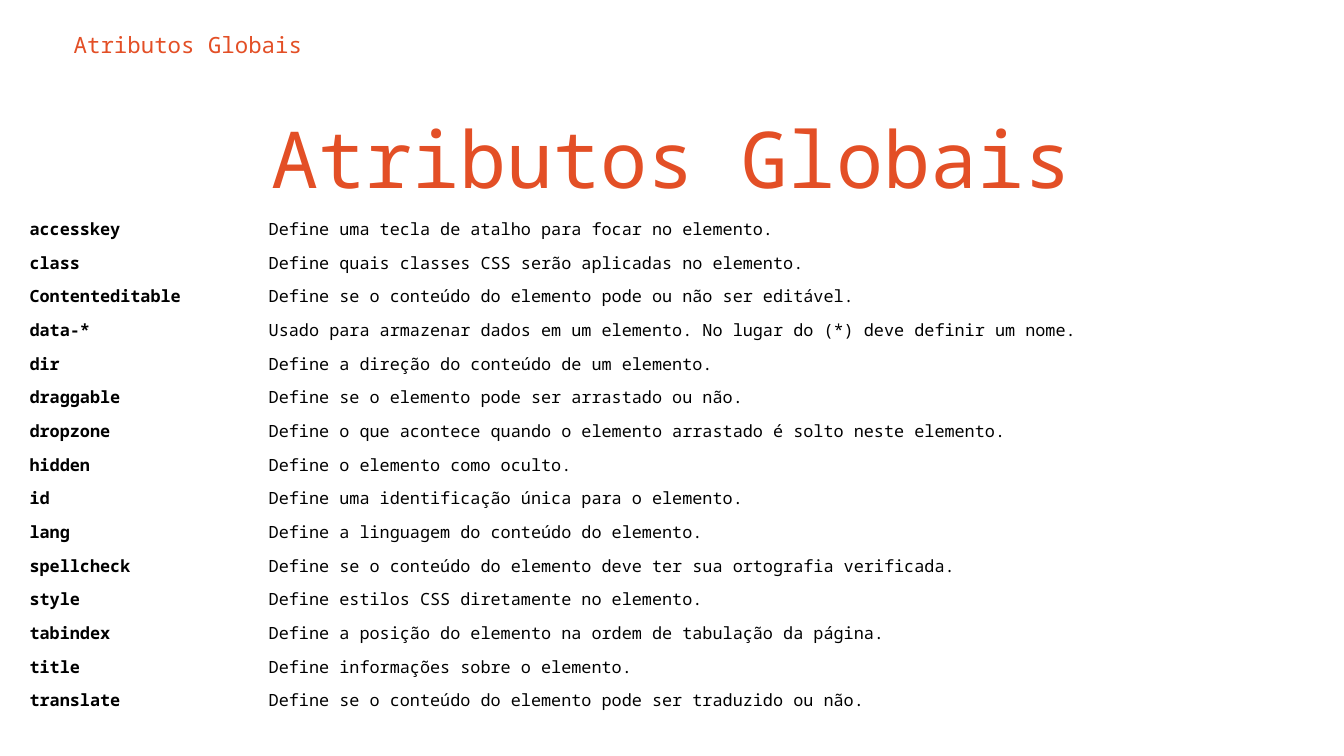
from pptx import Presentation
from pptx.dml.color import RGBColor
from pptx.enum.text import MSO_ANCHOR, MSO_AUTO_SIZE, PP_ALIGN
from pptx.util import Inches, Pt

LEFT, CENTER = PP_ALIGN.LEFT, PP_ALIGN.CENTER
TOP = MSO_ANCHOR.TOP
NO_AUTOFIT = MSO_AUTO_SIZE.NONE

WIDTH = 10
HEIGHT = WIDTH * 9 / 16
FONT = "Noto Sans Mono"
COLORS = {"accent": "E34F26", "text": "000000"}
TITLE_ONLY = 5
HEADING = "Atributos Globais"

HEADER_BOX = (0.45, 0.13, 9.18, 0.42)
TITLE_BOX = (0.71, 0.72, 8.57, 0.86)
TABLE_BOX = (0.18, 1.58, 9.52, 3.43)
NAME_WIDTH = 1.78

ATTRIBUTES = [
    ("accesskey", "Define uma tecla de atalho para focar no elemento."),
    ("class", "Define quais classes CSS serão aplicadas no elemento."),
    ("Contenteditable", "Define se o conteúdo do elemento pode ou não ser editável."),
    ("data-*", "Usado para armazenar dados em um elemento. "
               "No lugar do (*) deve definir um nome."),
    ("dir", "Define a direção do conteúdo de um elemento."),
    ("draggable", "Define se o elemento pode ser arrastado ou não."),
    ("dropzone", "Define o que acontece quando o elemento arrastado "
                 "é solto neste elemento."),
    ("hidden", "Define o elemento como oculto."),
    ("id", "Define uma identificação única para o elemento."),
    ("lang", "Define a linguagem do conteúdo do elemento."),
    ("spellcheck", "Define se o conteúdo do elemento deve ter "
                   "sua ortografia verificada."),
    ("style", "Define estilos CSS diretamente no elemento."),
    ("tabindex", "Define a posição do elemento na ordem de tabulação da página."),
    ("title", "Define informações sobre o elemento."),
    ("translate", "Define se o conteúdo do elemento pode ser traduzido ou não."),
]


def write_text(holder, text, size, color="text", bold=False, align=LEFT,
               margin=0.1, bottom=0.1):
    """Write one formatted paragraph into a shape or a table cell."""
    frame = holder.text_frame
    frame.word_wrap = True
    # Margins and anchor belong to the cell itself in a table.
    target = holder if hasattr(holder, "margin_left") else frame
    target.margin_left = target.margin_right = target.margin_top = Inches(margin)
    target.margin_bottom = Inches(bottom)
    target.vertical_anchor = TOP
    para = frame.paragraphs[0]
    para.alignment = align
    span = para.add_run()
    span.text = text
    span.font.name = FONT
    span.font.size = Pt(size)
    span.font.bold = bold
    span.font.color.rgb = RGBColor.from_string(COLORS[color])


def add_header(page, box):
    header = page.shapes.add_textbox(*map(Inches, box))
    write_text(header, HEADING, size=12, color="accent")


def place_title(page, box):
    title = page.shapes.title
    title.left, title.top, title.width, title.height = map(Inches, box)
    title.text_frame.auto_size = NO_AUTOFIT
    write_text(title, HEADING, size=42, color="accent", align=CENTER)


def add_attribute_table(page, box):
    """Place one row per attribute: bold name, then its description."""
    table = page.shapes.add_table(len(ATTRIBUTES), 2, *map(Inches, box)).table
    table.first_row = table.horz_banding = False
    for column, width in zip(table.columns, (NAME_WIDTH, box[2] - NAME_WIDTH)):
        column.width = Inches(width)
    for row, texts in enumerate(ATTRIBUTES):
        for column, text in enumerate(texts):
            cell = table.cell(row, column)
            cell.fill.background()
            write_text(cell, text, size=9, bold=column == 0,
                       margin=0.04, bottom=0.06)


def main():
    deck = Presentation()
    deck.slide_width, deck.slide_height = Inches(WIDTH), Inches(HEIGHT)
    page = deck.slides.add_slide(deck.slide_layouts[TITLE_ONLY])
    add_header(page, HEADER_BOX)
    place_title(page, TITLE_BOX)
    add_attribute_table(page, TABLE_BOX)
    deck.save("out.pptx")


if __name__ == "__main__":
    main()
